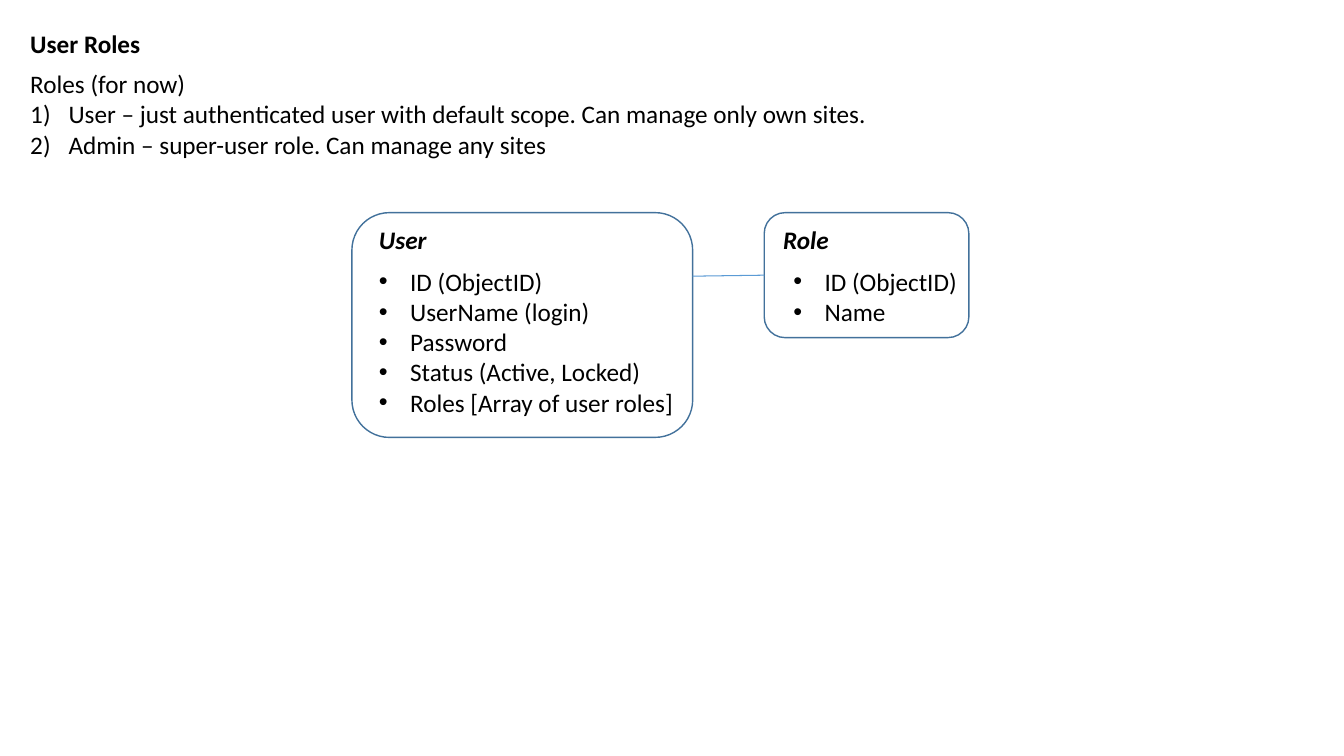
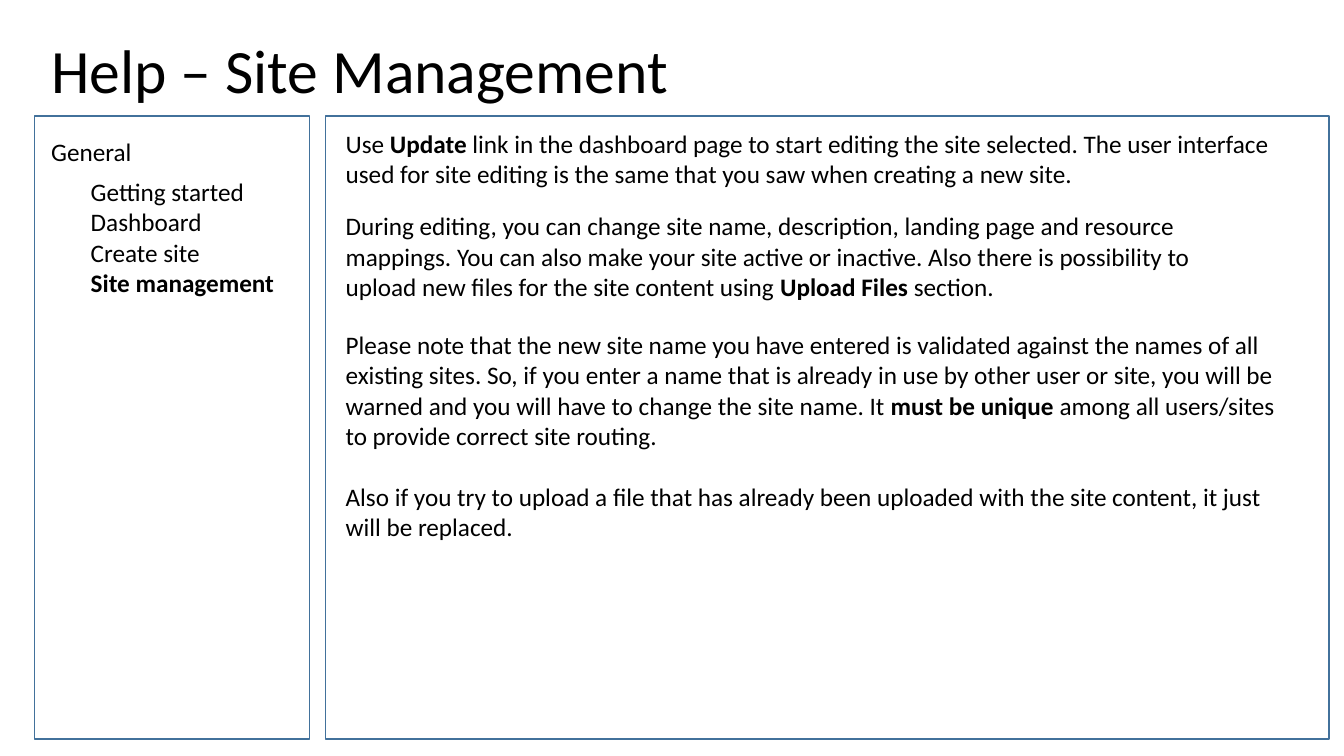
from dataclasses import dataclass

from lxml.etree import SubElement
from pptx import Presentation
from pptx.dml.color import RGBColor
from pptx.enum.shapes import MSO_CONNECTOR as CONNECTOR, MSO_SHAPE as SHAPE
from pptx.enum.text import MSO_ANCHOR as ANCHOR, MSO_AUTO_SIZE as AUTO_SIZE, PP_ALIGN as ALIGN
from pptx.oxml.ns import qn
from pptx.util import Emu, Pt

PX = 9144  # EMU in one px, 100 px to the inch


def px(*lengths):
    return [Emu(n * PX) for n in lengths]


@dataclass(frozen=True)
class Theme:
    font: str = "Calibri"
    text: RGBColor = RGBColor(0x00, 0x00, 0x00)
    outline: RGBColor = RGBColor(0x42, 0x71, 0x9B)
    link: RGBColor = RGBColor(0x5B, 0x9B, 0xD5)
    title_size: int = 44
    body_size: int = 18
    outline_width: float = 1
    link_width: float = 0.75
    paragraph_gap: int = 22


class Deck:
    BULLET = ("buChar", {"char": "•"}, 31)
    NUMBER = ("buAutoNum", {"type": "arabicParenR"}, 38)
    PLAIN = ("buNone", {}, 0)

    def __init__(self, theme):
        self.theme = theme
        self.prs = Presentation()
        self.prs.slide_width, self.prs.slide_height = px(1333, 750)

    def new_slide(self):
        self.s = self.prs.slides.add_slide(self.prs.slide_layouts[1])

    def mark(self, p, marker):
        """Give the paragraph a bullet, a number or neither, with its hanging indent."""
        tag, attributes, indent = marker
        pPr = p._p.get_or_add_pPr()
        pPr.set("marL", str(indent * PX))
        pPr.set("indent", str(-indent * PX))
        if marker is self.BULLET:
            SubElement(pPr, qn("a:buFont"), typeface="Arial")
        SubElement(pPr, qn(f"a:{tag}"), attributes)

    def fill_text(self, sp, lines, size=None, bold=False, italic=False, gap=0):
        """Fill with (text, marker) lines; text between ** marks is bold."""
        tf = sp.text_frame
        tf.word_wrap = True
        tf.auto_size = AUTO_SIZE.NONE
        tf.vertical_anchor = ANCHOR.TOP
        for i, (text, marker) in enumerate(lines):
            p = tf.add_paragraph() if i else tf.paragraphs[0]
            self.mark(p, marker)
            p.alignment = ALIGN.LEFT
            p.space_before = Pt(gap if i else 0)
            for j, part in enumerate(text.split("**")):
                if part:
                    r = p.add_run()
                    r.text = part
                    r.font.name = self.theme.font
                    r.font.size = Pt(size or self.theme.body_size)
                    r.font.color.rgb = self.theme.text
                    r.font.bold = bold or j % 2 == 1
                    r.font.italic = italic

    def place(self, sp, box):
        sp.left, sp.top, sp.width, sp.height = px(*box)

    def title(self, text, box, **style):
        sp = self.s.shapes.title
        self.place(sp, box)
        self.fill_text(sp, [(text, self.PLAIN)], **style)
        return sp

    def body(self, lines, box):
        sp = self.s.placeholders[1]
        self.place(sp, box)
        self.fill_text(sp, lines)

    def text(self, lines, box, **style):
        self.fill_text(self.s.shapes.add_textbox(*px(*box)), lines, **style)

    def frame(self, box, shape=SHAPE.RECTANGLE):
        sp = self.s.shapes.add_shape(shape, *px(*box))
        sp.shadow.inherit = False
        sp.fill.background()
        sp.line.color.rgb = self.theme.outline
        sp.line.width = Pt(self.theme.outline_width)
        return sp

    def entity(self, name, fields, box, name_left, fields_left, fields_width):
        top = box[1]
        sp = self.frame(box, SHAPE.ROUNDED_RECTANGLE)
        self.text([(name, self.PLAIN)], (name_left, top + 7, 250, 40), bold=True, italic=True)
        self.text([(field, self.BULLET) for field in fields],
                  (fields_left, top + 48, fields_width, 10 + 30 * len(fields)))
        return sp

    def link(self, start, target):
        """Draw a line from a point to the left side of the target."""
        end = (target.left, target.top + target.height // 2)
        line = self.s.shapes.add_connector(CONNECTOR.STRAIGHT, *px(*start), *end)
        line.end_connect(target, 1)
        line.line.color.rgb = self.theme.link
        line.line.width = Pt(self.theme.link_width)
        SubElement(line._element.spPr, qn("a:effectLst"))


def user_roles(deck):
    deck.new_slide()
    deck.title("User Roles", (20, 23, 873, 40), bold=True)
    deck.body([
        ("Roles (for now)", deck.PLAIN),
        ("User – just authenticated user with default scope. Can manage only own sites.", deck.NUMBER),
        ("Admin – super-user role. Can manage any sites", deck.NUMBER),
    ], (20, 63, 1238, 101))
    user_fields = ["ID (ObjectID)", "UserName (login)", "Password",
                   "Status (Active, Locked)", "Roles [Array of user roles]"]
    deck.entity("User", user_fields, (349, 211, 338, 223), 366, 366, 349)
    role = deck.entity("Role", ["ID (ObjectID)", "Name"], (758, 211, 203, 124), 767, 777, 194)
    deck.link((687, 274), role)


def site_management_help(deck):
    deck.new_slide()
    title = deck.title("Help – Site Management", (41, 0, 1150, 145), size=deck.theme.title_size)
    title.text_frame.vertical_anchor = ANCHOR.MIDDLE
    title.text_frame.paragraphs[0].line_spacing = 0.9

    deck.frame((34, 115, 273, 618))
    deck.text([("General", deck.PLAIN)], (41, 130, 253, 40))
    pages = ["Getting started", "Dashboard", "Create site", "**Site management**"]
    deck.body([(page, deck.PLAIN) for page in pages], (80, 170, 222, 131))

    deck.frame((323, 115, 995, 618))
    sections = [
        (122, 951, 71, [
            "Use **Update **link in the dashboard page to start editing the site selected. "
            "The user interface used for site editing is the same that you saw when creating a new site."]),
        (204, 885, 101, [
            "During editing, you can change site name, description, landing page and resource mappings. "
            "You can also make your site active or inactive. Also there is possibility to upload new "
            "files for the site content using **Upload Files** section."]),
        (322, 943, 222, [
            "Please note that the new site name you have entered is validated against the names of all "
            "existing sites. So, if you enter a name that is already in use by other user or site, you "
            "will be warned and you will have to change the site name. It **must be unique** among all "
            "users/sites to provide correct site routing.",
            "Also if you try to upload a file that has already been uploaded with the site content, "
            "it just will be replaced."]),
    ]
    for top, width, height, paragraphs in sections:
        deck.text([(text, deck.PLAIN) for text in paragraphs], (333, top, width, height),
                  gap=deck.theme.paragraph_gap)


def main():
    deck = Deck(Theme())
    user_roles(deck)
    site_management_help(deck)
    deck.prs.save("out.pptx")


if __name__ == "__main__":
    main()
